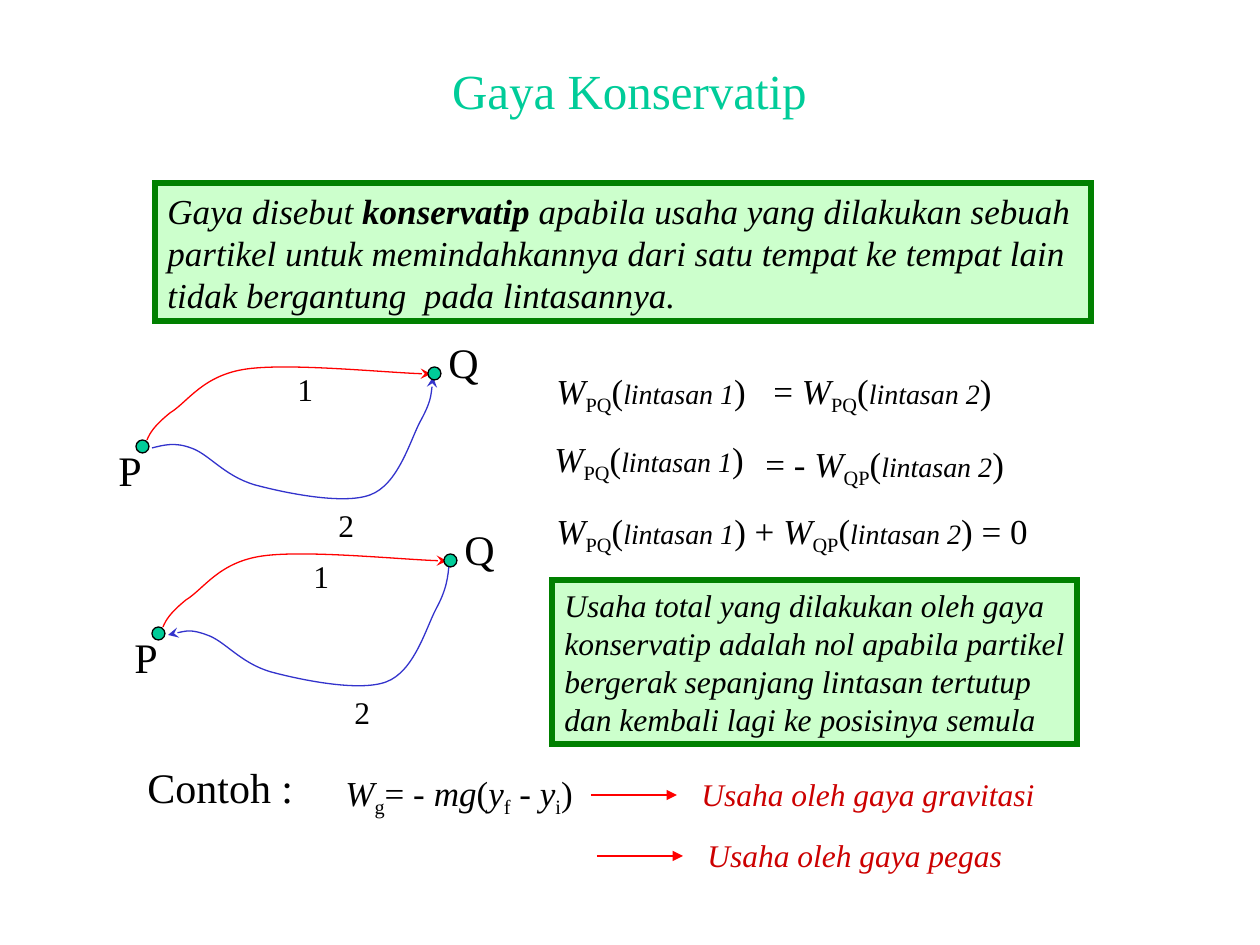
"""Build the slide on conservative forces."""
from lxml import etree
from pptx import Presentation
from pptx.dml.color import RGBColor
from pptx.enum.shapes import MSO_CONNECTOR, MSO_SHAPE
from pptx.enum.text import MSO_ANCHOR, MSO_AUTO_SIZE, PP_ALIGN
from pptx.oxml.ns import qn
from pptx.util import Emu, Pt

LINE = MSO_CONNECTOR.STRAIGHT
OVAL, RECT = MSO_SHAPE.OVAL, MSO_SHAPE.RECTANGLE
TOP, MIDDLE = MSO_ANCHOR.TOP, MSO_ANCHOR.MIDDLE
LEFT, CENTER = PP_ALIGN.LEFT, PP_ALIGN.CENTER
GROW = MSO_AUTO_SIZE.SHAPE_TO_FIT_TEXT

FONT = "Times New Roman"
TEAL = RGBColor(0x00, 0xCC, 0x99)
BLACK = RGBColor(0x00, 0x00, 0x00)
RED = RGBColor(0xFF, 0x00, 0x00)
BRICK = RGBColor(0xCC, 0x00, 0x00)
BLUE = RGBColor(0x33, 0x33, 0xCC)
MINT = RGBColor(0xCC, 0xFF, 0xCC)
GREEN = RGBColor(0x00, 0x80, 0x00)

UPPER = [(147, 440), (150, 433), (154, 426), (170, 413), (188, 402),
         (203, 375), (247, 369), (290, 363), (399, 374), (431, 374)]
LOWER = [(152, 448), (164, 445), (175, 442), (191, 448), (209, 454),
         (224, 476), (255, 485), (285, 493), (343, 505), (370, 495),
         (398, 485), (410, 441), (420, 422), (431, 402), (432, 389),
         (433, 377)]


def px(num):
    """Turn px into EMU."""
    return Emu(round(num * 914400 / 126))


def write(frame, parts, size, color=BLACK):
    """Write (text, style) parts; styles are i, b, sub and small."""
    para = frame.paragraphs[0]
    para.alignment = LEFT
    for text, style in parts:
        marks = style.split()
        for row, line in enumerate(text.split("\n")):
            if row:
                para.add_line_break()
            run = para.add_run()
            run.text = line
            font = run.font
            font.name = FONT
            font.size = Pt(16 if "small" in marks else size)
            font.color.rgb = color
            font.italic = "i" in marks
            font.bold = "b" in marks
            if "sub" in marks:
                font._element.set("baseline", "-25000")


def fit(frame, wrap=False):
    """Set the wrap, growth and right inset of a text frame."""
    frame.word_wrap = wrap
    frame.auto_size = GROW
    frame.vertical_anchor = TOP
    frame.margin_right = px(0)


def add_text(slide, place, parts, size, color=BLACK, wrap=False):
    """Add a text box."""
    box = slide.shapes.add_textbox(*map(px, place))
    fit(box.text_frame, wrap)
    write(box.text_frame, parts, size, color)


def add_shape(slide, kind, place, fill, edge, width):
    """Add a filled and outlined preset shape."""
    shape = slide.shapes.add_shape(kind, *map(px, place))
    shape.shadow.inherit = False
    shape.fill.solid()
    shape.fill.fore_color.rgb = fill
    shape.line.color.rgb = edge
    shape.line.width = Pt(width)
    return shape


def add_panel(slide, place, parts, size):
    """Add a green framed statement with sharp corners."""
    shape = add_shape(slide, RECT, place, MINT, GREEN, 3)
    ln = shape._element.spPr.find(qn("a:ln"))
    etree.SubElement(ln, qn("a:miter")).set("lim", "800000")
    fit(shape.text_frame)
    write(shape.text_frame, parts, size)


def style_line(shape, color, end, kind):
    """Colour a line and put an arrowhead at one end."""
    shape.line.color.rgb = color
    shape.line.width = Pt(0.75)
    ln = shape._element.spPr.find(qn("a:ln"))
    etree.SubElement(ln, qn("a:" + end)).set("type", kind)


def add_curve(slide, points, color, end):
    """Add an open chain of cubic curves with an arrowhead."""
    spots = [(px(x), px(y)) for x, y in points]
    pen = slide.shapes.build_freeform(*spots[0])
    pen.add_line_segments(spots[1:], close=False)
    curve = pen.convert_to_shape()
    curve.shadow.inherit = False
    curve.fill.background()
    style_line(curve, color, end, "stealth")
    steps = list(curve._element.iter(qn("a:lnTo")))
    route = steps[0].getparent()
    for first in range(0, len(steps), 3):
        cubic = etree.SubElement(route, qn("a:cubicBezTo"))
        for step in steps[first:first + 3]:
            cubic.append(step[0])
            route.remove(step)


def add_arrow(slide, x, y, width):
    """Add a level red arrow."""
    arrow = slide.shapes.add_connector(
        LINE, px(x), px(y), px(x + width), px(y))
    style_line(arrow, RED, "tailEnd", "triangle")
    etree.SubElement(arrow._element.spPr, qn("a:effectLst"))


def add_paths(slide, dx, dy, end):
    """Add both paths between P and Q, moved by dx and dy."""
    for points, color, tip in ((UPPER, RED, "tailEnd"), (LOWER, BLUE, end)):
        add_curve(slide, [(x + dx, y + dy) for x, y in points], color, tip)
    for x, y in ((136, 440), (428, 367)):
        add_shape(slide, OVAL, (x + dx, y + dy, 13, 13), TEAL, BLACK, 0.75)
    for text, x, y, wide, high, size in (
            ("P", 106, 438, 48, 63, 24), ("Q", 436, 330, 55, 63, 24),
            ("1", 285, 364, 40, 50, 18), ("2", 326, 500, 40, 50, 18)):
        add_text(slide, (x + dx, y + dy, wide, high), [(text, "")], size)


def work(ends, path):
    """Give the parts of the work done along a path."""
    return [("W", "i"), (ends, "sub"), ("(", ""),
            (f"lintasan {path}", "i small"), (")", "")]


def add_title(slide, text):
    """Fill and place the title."""
    title = slide.shapes.title
    title.left, title.top, title.width, title.height = map(
        px, (94, 49, 1071, 82))
    frame = title.text_frame
    frame.text = text
    frame.vertical_anchor = MIDDLE
    para = frame.paragraphs[0]
    para.alignment = CENTER
    font = para.runs[0].font
    font.name, font.size = FONT, Pt(28)
    font.color.rgb = TEAL


def main():
    """Build and save the slide."""
    deck = Presentation()
    deck.slide_width, deck.slide_height = px(1260), px(945)
    slide = deck.slides.add_slide(deck.slide_layouts[5])
    add_title(slide, "Gaya Konservatip")

    add_panel(slide, (155, 183, 936, 138), [
        ("Gaya disebut ", "i"), ("konservatip", "i b"),
        (" apabila usaha yang dilakukan sebuah\n"
         "partikel untuk memindahkannya dari satu tempat ke tempat lain\n"
         "tidak bergantung  pada lintasannya.", "i")], 20)
    add_paths(slide, 0, 0, "tailEnd")
    add_paths(slide, 16, 187, "headEnd")

    first, back = work("PQ", 1), work("QP", 2)
    for place, parts in (
            ((544, 363, 214, 60), first),
            ((761, 363, 243, 60), [("= ", "")] + work("PQ", 2)),
            ((542, 431, 214, 60), first),
            ((753, 436, 263, 60), [("= - ", "")] + back),
            ((544, 503, 496, 60),
             first + [(" + ", "")] + back + [(" = 0", "")])):
        add_text(slide, place, parts, 20)

    add_panel(slide, (552, 580, 525, 164), [
        ("Usaha total yang dilakukan oleh gaya\n"
         "konservatip adalah nol apabila partikel\n"
         "bergerak sepanjang lintasan tertutup\n"
         "dan kembali lagi ke posisinya semula", "i")], 18)

    add_text(slide, (135, 755, 181, 63), [("Contoh :", "")], 24)
    add_text(slide, (333, 765, 262, 60), [
        ("W", "i"), ("g", "sub"), ("= - ", ""), ("mg", "i"), ("(", ""),
        ("y", "i"), ("f", "sub"), (" - ", ""), ("y", "i"), ("i", "sub"),
        (")", "")], 20, wrap=True)
    for text, x, y, wide in (("gravitasi", 591, 795, 358),
                             ("pegas", 597, 856, 320)):
        add_arrow(slide, x, y, 86)
        add_text(slide, (x + 98, y - 26, wide, 50),
                 [(f"Usaha oleh gaya {text}", "i")], 18, BRICK)
    deck.save("out.pptx")


if __name__ == "__main__":
    main()
